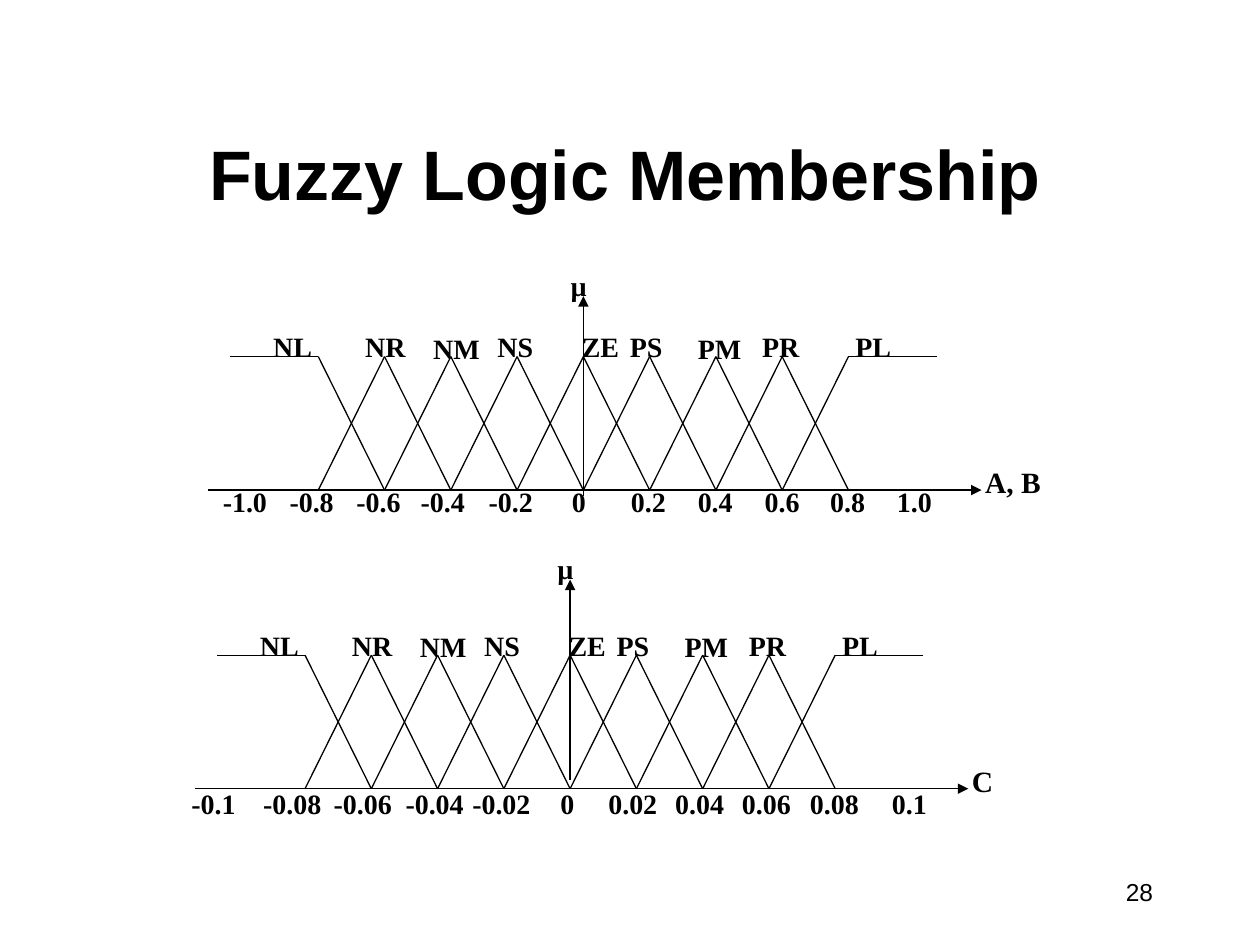
"""Build a slide with two charts of fuzzy membership functions."""
from lxml import etree
from pptx import Presentation
from pptx import util as u
from pptx.dml.color import RGBColor
from pptx.enum import shapes, text
from pptx.oxml.ns import qn

COLORS = {"ink": "000000", "paper": "FFFFFF"}
SERIF = {"name": "Times New Roman", "size": u.Pt(16), "bold": True}
AXIS_NAME = {**SERIF, "size": u.Pt(16.8)}
TITLE = {"name": "Arial", "size": u.Pt(40), "bold": True}
NUMBER = {"name": "Arial", "size": u.Pt(14), "bold": False}

STEP, HEIGHT, SHOULDER, OUTER = 0.526, 1.06, 0.7, 4
AXIS_LEFT, AXIS_RIGHT = 2.98, 3.16
SETS = [
    ("NL", -2.56), ("NR", -1.83), ("NM", -1.29), ("NS", -0.78), ("ZE", -0.11),
    ("PS", 0.27), ("PM", 0.81), ("PR", 1.32), ("PL", 2.06),
]
CHARTS = [
    {
        "name": "A, B", "origin": 4.63, "base": 3.89, "axis": (3.94, 2.35), "tick_top": 3.8,
        "ticks": [
            ("-1.0", 1.67, 0.6), ("-0.8", 2.2, 0.77), ("-0.6", 2.73, 0.6),
            ("-0.4", 3.24, 0.77), ("-0.2", 3.78, 0.77), ("0", 4.44, 0.53),
            ("0.2", 4.91, 0.53), ("0.4", 5.44, 0.53), ("0.6", 5.97, 0.53),
            ("0.8", 6.49, 0.53), ("1.0", 7.02, 0.53),
        ],
    },
    {
        "name": "C", "origin": 4.525, "base": 6.26, "axis": (6.19, 4.6), "tick_top": 6.19,
        "ticks": [
            ("-0.1", 1.42, 0.85), ("-0.08", 1.99, 0.85), ("-0.06", 2.55, 0.85),
            ("-0.04", 3.12, 0.85), ("-0.02", 3.65, 0.85), ("0", 4.35, 0.53),
            ("0.02", 4.73, 0.85), ("0.04", 5.26, 0.85), ("0.06", 5.79, 0.85),
            ("0.08", 6.33, 0.85), ("0.1", 6.98, 0.85),
        ],
    },
]


def add_text(slide, words, box, font, align="LEFT", anchor="TOP", spacing=None):
    shape = slide.shapes.add_textbox(*map(u.Inches, box))
    frame = shape.text_frame
    frame.word_wrap = True
    frame.vertical_anchor = text.MSO_ANCHOR[anchor]
    paragraph = frame.paragraphs[0]
    paragraph.text = words
    paragraph.alignment = text.PP_ALIGN[align]
    paragraph.line_spacing = spacing
    for key, value in font.items():
        setattr(paragraph.font, key, value)
    paragraph.font.color.rgb = RGBColor.from_string(COLORS["ink"])


def add_line(slide, start, end, arrow=False):
    connector = slide.shapes.add_connector(
        shapes.MSO_CONNECTOR.STRAIGHT, *map(u.Inches, (*start, *end))
    )
    connector.line.width = u.Pt(0.75)
    connector.line.color.rgb = RGBColor.from_string(COLORS["ink"])
    if arrow:
        etree.SubElement(connector.line._get_or_add_ln(), qn("a:tailEnd"), type="triangle")
    etree.SubElement(connector._element.spPr, qn("a:effectLst"))


def add_membership_chart(slide, chart):
    origin, base = chart["origin"], chart["base"]
    axis_bottom, axis_top = chart["axis"]
    top = base - HEIGHT

    add_line(slide, (origin, axis_bottom), (origin, axis_top), arrow=True)
    add_line(slide, (origin - AXIS_LEFT, base), (origin + AXIS_RIGHT, base), arrow=True)
    for index in range(-OUTER, OUTER):
        left, right = origin + index * STEP, origin + (index + 1) * STEP
        add_line(slide, (left, top), (right, base))
        add_line(slide, (left, base), (right, top))
    for side in (-1, 1):
        inner = origin + side * OUTER * STEP
        add_line(slide, (inner, top), (inner + side * SHOULDER, top))

    add_text(slide, "µ", (origin - 0.2, axis_top - 0.27, 0.7, 0.4), SERIF)
    for name, offset in SETS:
        label_top = top - (0.25 if name.endswith("M") else 0.26)
        add_text(slide, name, (origin + offset, label_top, 0.7, 0.4), SERIF)
    for value, left, width in chart["ticks"]:
        add_text(slide, value, (left, chart["tick_top"], width, 0.4), SERIF)
    add_text(slide, chart["name"], (origin + 3.09, base - 0.2, 1.04, 0.4), AXIS_NAME, spacing=0.8)


def main():
    presentation = Presentation()
    presentation.slide_width, presentation.slide_height = u.Inches(10), u.Inches(7.5)
    slide = presentation.slides.add_slide(presentation.slide_layouts[6])
    slide.background.fill.solid()
    slide.background.fill.fore_color.rgb = RGBColor.from_string(COLORS["paper"])

    add_text(slide, "Fuzzy Logic Membership", (0.67, 1, 8.58, 0.75), TITLE, "CENTER", "BOTTOM")
    for chart in CHARTS:
        add_membership_chart(slide, chart)
    add_text(slide, "28", (8.58, 6.83, 0.67, 0.5), NUMBER, "RIGHT", "MIDDLE")
    presentation.save("out.pptx")


if __name__ == "__main__":
    main()
